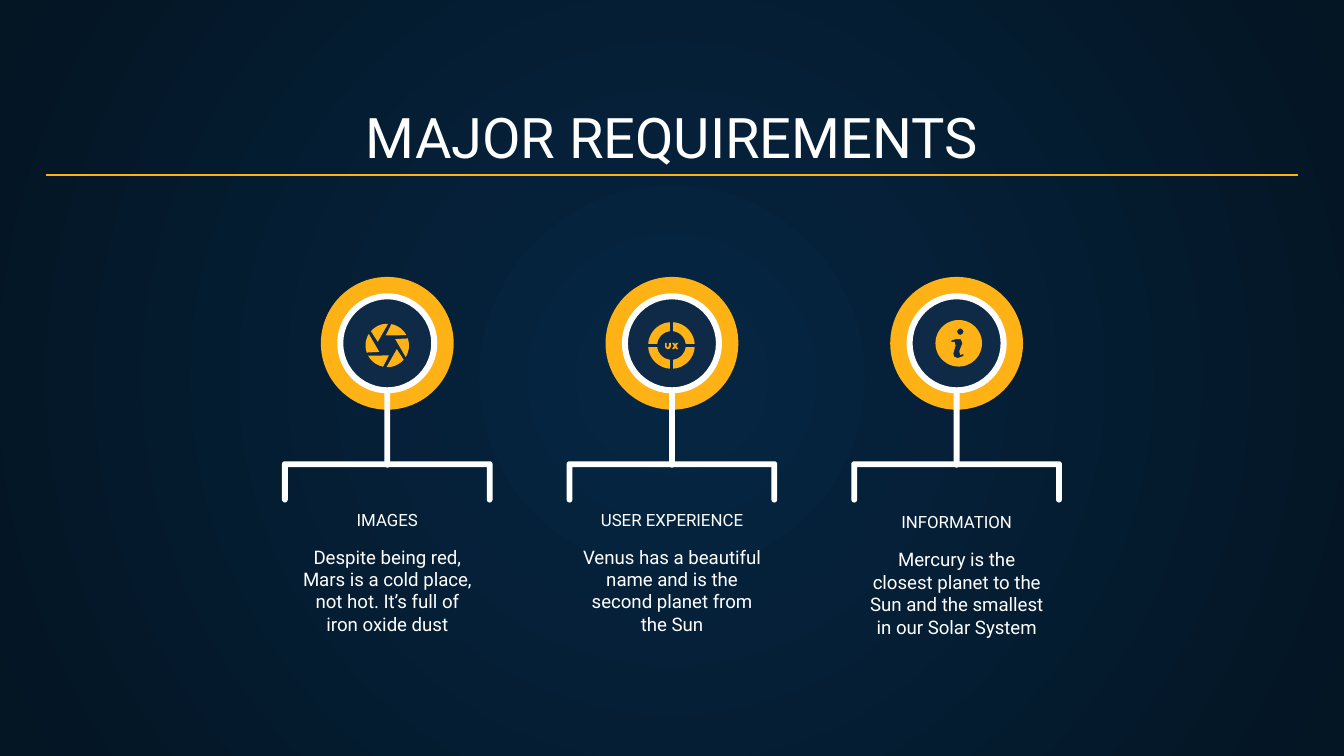
from dataclasses import dataclass
from math import asin, cos, degrees, radians, sin

from lxml.etree import SubElement
from pptx import Presentation
from pptx.dml.color import RGBColor
from pptx.enum.shapes import MSO_CONNECTOR, MSO_SHAPE
from pptx.enum.text import MSO_ANCHOR, MSO_AUTO_SIZE, PP_ALIGN
from pptx.oxml import parse_xml
from pptx.oxml.ns import nsdecls, qn
from pptx.util import Cm, Pt

COLORS = {"white": "FFFFFF", "amber": "FFB215", "navy": "0E2A47",
          "glow": "052643", "edge": "041523"}
FONT = "Roboto"
CENTER_X, PITCH = 12.7, 5.38
BADGE_Y = 6.49
BAR = 0.11  # thickness of stem and bracket

Point = tuple[float, float]
Contour = list[Point]


@dataclass
class Requirement:
    title: str
    body: str
    icon: list[list[Contour]]  # one list of contours per shape
    icon_x: float = 0
    icon_y: float = 0
    text_shift: float = 0


def rgb(name: str) -> RGBColor:
    return RGBColor.from_string(COLORS[name])


def arc(cx: float, cy: float, r: float, start: float, end: float, steps: int = 12) -> Contour:
    """Points on an arc; degrees run clockwise from the right."""
    angles = [radians(start + (end - start) * i / steps) for i in range(steps + 1)]
    return [(cx + r * cos(a), cy + r * sin(a)) for a in angles]


def rotate(points: Contour, angle: float) -> Contour:
    c, n = cos(radians(angle)), sin(radians(angle))
    return [(x * c - y * n, x * n + y * c) for x, y in points]


def paint(shape, color: str):
    shape.shadow.inherit = False
    shape.fill.solid()
    shape.fill.fore_color.rgb = rgb(color)
    shape.line.fill.background()
    return shape


def add_outline(s, x: float, y: float, contours: list[Contour], color: str):
    builder = None
    for contour in contours:
        first, *rest = [(Cm(x + px), Cm(y + py)) for px, py in contour]
        if builder is None:
            builder = s.shapes.build_freeform(*first, scale=1.0)
        else:
            builder.move_to(*first)
        builder.add_line_segments(rest, close=True)
    return paint(builder.convert_to_shape(), color)


def add_round(s, kind, cx: float, cy: float, size: float, color: str):
    return paint(s.shapes.add_shape(kind, Cm(cx - size / 2), Cm(cy - size / 2),
                                    Cm(size), Cm(size)), color)


def write(shape, text: str, *, size: float, anchor=MSO_ANCHOR.TOP):
    tf = shape.text_frame
    tf.word_wrap = True
    tf.auto_size = MSO_AUTO_SIZE.NONE
    tf.vertical_anchor = anchor
    tf.margin_left = tf.margin_right = tf.margin_top = tf.margin_bottom = Cm(0.25)
    p = tf.paragraphs[0]
    p.alignment = PP_ALIGN.CENTER
    r = p.add_run()
    r.text = text
    r.font.name, r.font.size = FONT, Pt(size)
    r.font.color.rgb = rgb("white")


def add_text(s, cx: float, top: float, width: float, height: float, text: str, **fmt):
    box = s.shapes.add_textbox(Cm(cx - width / 2), Cm(top), Cm(width), Cm(height))
    write(box, text, **fmt)


def bracket(width: float, height: float) -> Contour:
    """Bar with two legs and rounded ends, centred on x = 0."""
    half, r = width / 2, BAR / 2
    return [*arc(-half + r, r, r, 180, 270, 4), *arc(half - r, r, r, 270, 360, 4),
            *arc(half - r, height - r, r, 0, 180, 6), (half - BAR, BAR),
            (-half + BAR, BAR), *arc(-half + r, height - r, r, 0, 180, 6)]


def aperture() -> list[list[Contour]]:
    blade = [(-0.03, -0.19), *arc(0, 0, 0.41, -79, -28)]
    return [[rotate(blade, 60 * i)] for i in range(6)]


def ux_wheel() -> list[list[Contour]]:
    outer, inner, gap = 0.44, 0.27, 0.03
    a, b = degrees(asin(gap / outer)), degrees(asin(gap / inner))
    sector = arc(0, 0, outer, a, 90 - a) + arc(0, 0, inner, 90 - b, b)
    letter_u = [(-0.12, -0.05), (-0.09, -0.05), (-0.09, 0.02), (-0.07, 0.04),
                (-0.05, 0.02), (-0.05, -0.05), (-0.01, -0.05), (-0.01, 0.02),
                (-0.03, 0.06), (-0.07, 0.07), (-0.11, 0.05), (-0.12, 0.02)]
    letter_x = [(0.01, -0.05), (0.05, -0.05), (0.07, -0.02), (0.09, -0.05),
                (0.13, -0.05), (0.09, 0.01), (0.13, 0.07), (0.09, 0.07),
                (0.07, 0.04), (0.05, 0.07), (0.01, 0.07), (0.05, 0.01)]
    return [[rotate(sector, 90 * i)] for i in range(4)] + [[letter_u], [letter_x]]


def info_sign() -> list[list[Contour]]:
    stem = [(-0.14, -0.05), (-0.06, -0.08), (0.04, -0.08), (0.07, 0), (0.01, 0.15),
            (0.03, 0.22), (0.09, 0.2), (0.09, 0.24), (-0.02, 0.28), (-0.09, 0.25),
            (-0.1, 0.19), (-0.06, 0.04), (-0.08, -0.03), (-0.14, -0.02)]
    return [[arc(0, 0, 0.44, 0, 360, 48), arc(0.03, -0.22, 0.06, 0, 360), stem]]


def add_requirement(s, cx: float, req: Requirement):
    add_outline(s, cx, 8.72, [bracket(3.98, 0.78)], "white")
    add_round(s, MSO_SHAPE.OVAL, cx, BADGE_Y, 2.51, "amber")
    stem = s.shapes.add_shape(MSO_SHAPE.ROUNDED_RECTANGLE, Cm(cx - BAR / 2), Cm(6.3),
                              Cm(BAR), Cm(2.54))
    stem.adjustments[0] = 0.5
    paint(stem, "white")
    add_round(s, MSO_SHAPE.OVAL, cx, BADGE_Y, 1.78, "navy")
    ring = add_round(s, MSO_SHAPE.DONUT, cx, BADGE_Y, 1.89, "white")
    ring.adjustments[0] = 0.06
    for contours in req.icon:
        add_outline(s, cx + req.icon_x, BADGE_Y + req.icon_y, contours, "amber")
    add_text(s, cx, 9.73 + req.text_shift, 5.77, 0.53, req.title, size=9,
             anchor=MSO_ANCHOR.BOTTOM)
    add_text(s, cx, 10.06 + req.text_shift, 3.86, 1.4, req.body, size=10)


def set_background(s):
    fill = s.background.fill
    fill.gradient()
    for stop, name in zip(fill.gradient_stops, ("glow", "edge")):
        stop.color.rgb = rgb(name)
    lin = s.element.find(".//" + qn("a:lin"))
    lin.getparent().replace(lin, parse_xml(
        f'<a:path {nsdecls("a")} path="circle">'
        '<a:fillToRect l="50000" t="50000" r="50000" b="50000"/></a:path>'))


def add_title(s, text: str):
    title = s.shapes.title
    title.left, title.top, title.width, title.height = Cm(0.86), Cm(1.78), Cm(23.68), Cm(1.68)
    write(title, text, size=30, anchor=MSO_ANCHOR.BOTTOM)
    rule = s.shapes.add_connector(MSO_CONNECTOR.STRAIGHT, Cm(0.86), Cm(3.31), Cm(24.54), Cm(3.31))
    rule.line.color.rgb = rgb("amber")
    rule.line.width = Pt(0.75)
    SubElement(rule._element.spPr, qn("a:effectLst"))


def main():
    prs = Presentation()
    prs.slide_width, prs.slide_height = Cm(25.4), Cm(14.29)
    s = prs.slides.add_slide(prs.slide_layouts[5])
    set_background(s)
    add_title(s, "MAJOR REQUIREMENTS")
    requirements = [
        Requirement("IMAGES", "Despite being red, Mars is a cold place, not hot. "
                    "It’s full of iron oxide dust", aperture(), icon_y=0.04),
        Requirement("USER EXPERIENCE", "Venus has a beautiful name and is the second "
                    "planet from the Sun", ux_wheel(), icon_x=-0.01, icon_y=0.04),
        Requirement("INFORMATION", "Mercury is the closest planet to the Sun and the "
                    "smallest in our Solar System", info_sign(), icon_x=0.04,
                    text_shift=0.05),
    ]
    for i, req in enumerate(requirements):
        add_requirement(s, CENTER_X + (i - 1) * PITCH, req)
    prs.save("out.pptx")


if __name__ == "__main__":
    main()
